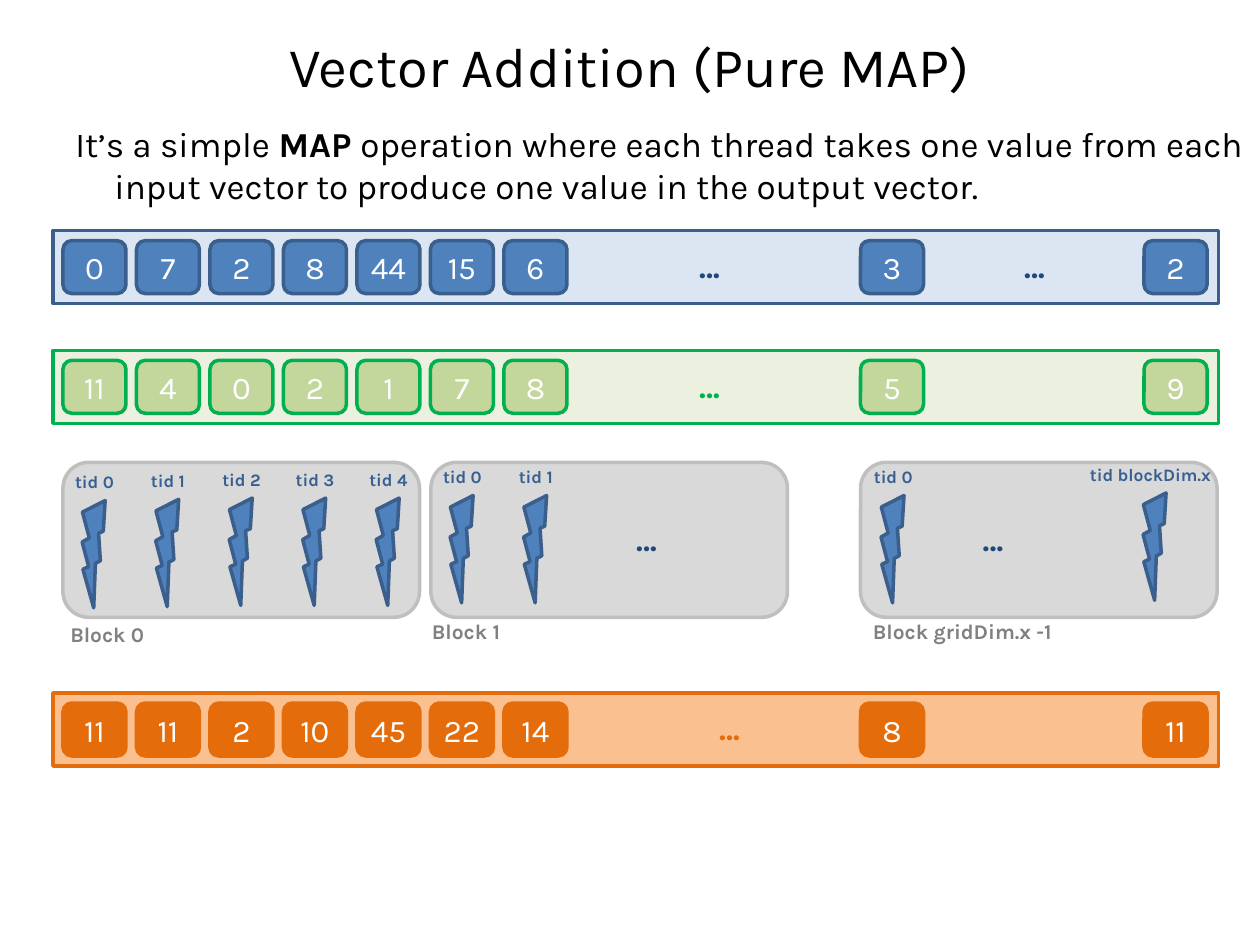
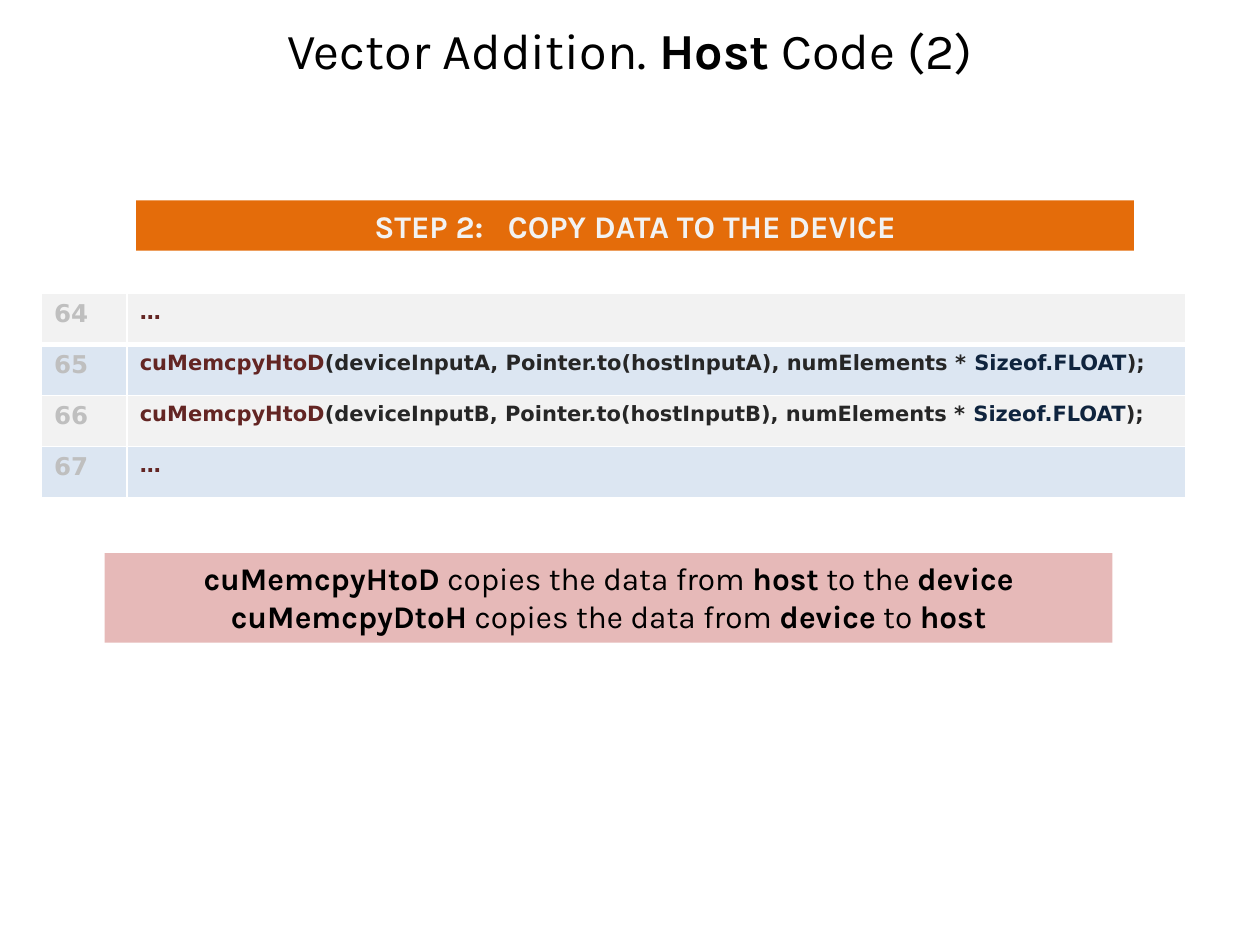
from dataclasses import dataclass

from lxml import etree
from pptx import Presentation
from pptx.dml.color import RGBColor
from pptx.enum import shapes, text
from pptx.oxml import ns
from pptx.util import Emu, Inches, Pt


@dataclass(frozen=True)
class Theme:
    font: str = "Karla"
    code_font: str = "DejaVu Sans"
    black: str = "000000"
    white: str = "FFFFFF"
    blue: str = "4F81BD"
    blue_edge: str = "3A5F8C"
    blue_pale: str = "DCE6F2"
    blue_label: str = "376092"
    navy: str = "1F497D"
    green: str = "C3D69B"
    green_edge: str = "00B050"
    green_pale: str = "EBF1DE"
    orange: str = "E46C0A"
    orange_pale: str = "FAC090"
    pink: str = "E6B9B8"
    gray_pale: str = "F2F2F2"
    gray_fill: str = "D9D9D9"
    gray_edge: str = "BFBFBF"
    gray_label: str = "808080"
    code_call: str = "632523"
    code_plain: str = "262626"
    code_const: str = "0F243E"
    title: float = 32
    title_small: float = 28.8
    body: float = 20
    value: float = 18
    line_number: float = 14
    small: float = 12
    thread: float = 10
    edge: float = 2


T = Theme()
BOLD = {"bold": True}

# Content: a paragraph is a list of runs, a run is text or (text, format)
MAP_TITLE = [["Vector Addition (Pure MAP)"]]
MAP_INTRO = [["It’s a simple ", ("MAP ", BOLD),
              "operation where each thread takes one value from each input "
              "vector to produce one value in the output vector."]]

PITCH = 7 / 12            # distance between neighbouring columns
FIRST_COLUMN = 0.5
FAR_COLUMNS = [6.83, 9.08]

# top, values, (fill, edge, band fill), ellipsis colour, ellipsis lefts
VECTORS = [
    (1.83, [0, 7, 2, 8, 44, 15, 6, 3, 2], (T.blue, T.blue_edge, T.blue_pale), T.navy, [4.92, 7.5]),
    (2.78, [11, 4, 0, 2, 1, 7, 8, 5, 9], (T.green, T.green_edge, T.green_pale), T.green_edge, [4.92]),
    (5.5, [11, 11, 2, 10, 45, 22, 14, 8, 11], (T.orange, T.orange, T.orange_pale), T.orange, [5.08]),
]

# left, label, label left, label top, ellipsis left
BLOCKS = [
    (0.5, "Block 0", 0.46, 4.88, None),
    (3.42, "Block 1", 3.33, 4.86, 4.42),
    (6.83, "Block gridDim.x -1", 6.83, 4.86, 7.17),
]

# label, label centre, bolt centre, top
THREADS = [(f"tid {tid}", centre, centre, top) for tid, centre, top in [
    *[(i, 0.75 + i * PITCH, top) for i, top in enumerate([3.69, 3.68, 3.67, 3.67, 3.67])],
    *[(i, 3.67 + i * PITCH, 3.65) for i in range(2)],
    (0, 7.09, 3.65),
]] + [("tid blockDim.x", 9.13, 9.17, 3.63)]

HOST_TITLE = [["Vector Addition. ", ("Host", BOLD), " Code (2)"]]
STEP = [["STEP 2:", (" ", {"spacing": 9.5}), "COPY DATA TO THE DEVICE"]]


def copy_call(vector):
    return ["cuMemcpyHtoD",
            (f"(device{vector}, Pointer.to(host{vector}), numElements * ", {"color": T.code_plain}),
            ("Sizeof.FLOAT", {"color": T.code_const}),
            (");", {"color": T.code_plain})]


CODE_START = 64
CODE = [["…"], copy_call("InputA"), copy_call("InputB"), ["…"]]
COPY_NOTE = [
    [(name, BOLD), " copies the data from ", (source, BOLD), " to ", article, (target, BOLD)]
    for name, source, article, target in [
        ("cuMemcpyHtoD", "host", "the ", "device"),
        ("cuMemcpyDtoH", "device", "", "host"),
    ]
]


def rgb(color):
    return RGBColor.from_string(color)


def write(frame, paragraphs, size=T.value, color=T.black, bold=False, font=T.font,
          align="CENTER", anchor=None, margin=None, indent=None):
    """Fill a text frame; run formats override the keyword arguments."""
    frame.word_wrap = True
    if anchor:
        frame.vertical_anchor = text.MSO_ANCHOR[anchor]
    if margin is not None:
        frame.margin_left = frame.margin_right = Inches(margin)
    for i, runs in enumerate(paragraphs):
        paragraph = frame.add_paragraph() if i else frame.paragraphs[0]
        paragraph.alignment = text.PP_ALIGN[align]
        if indent:
            props = paragraph._p.get_or_add_pPr()
            for key, length in zip(("marL", "indent"), indent):
                props.set(key, str(int(Inches(length))))
        for piece in runs:
            words, extra = (piece, {}) if isinstance(piece, str) else piece
            if not words:
                continue
            run = paragraph.add_run()
            run.text = words
            run.font.name, run.font.size = font, Pt(size)
            run.font.bold = extra.get("bold", bold)
            run.font.color.rgb = rgb(extra.get("color", color))
            if "spacing" in extra:
                run._r.get_or_add_rPr().set("spc", str(int(extra["spacing"] * 100)))


def label(slide, box, paragraphs, **style):
    write(slide.shapes.add_textbox(*map(Inches, box)).text_frame, paragraphs, **style)


def add_shape(slide, kind, box, fill, edge=None):
    shape = slide.shapes.add_shape(shapes.MSO_SHAPE[kind], *map(Inches, box))
    shape.shadow.inherit = False
    shape.fill.solid()
    shape.fill.fore_color.rgb = rgb(fill)
    if edge:
        shape.line.color.rgb = rgb(edge)
        shape.line.width = Pt(T.edge)
    else:
        shape.line.fill.background()
    return shape


def add_slide(deck, title, height, size):
    slide = deck.slides.add_slide(deck.slide_layouts[6])
    label(slide, (0.5, 0.17, 9, height), title, size=size, anchor="MIDDLE")
    return slide


def ellipsis(slide, left, top, color):
    label(slide, (left, top, 1.42, 0.42), [["…"]], color=color, bold=True)


def add_vector(slide, top, values, colors, dots_color, dots):
    fill, edge, band = colors
    add_shape(slide, "RECTANGLE", (0.42, top, 9.25, 0.58), band, edge)
    near = len(values) - len(FAR_COLUMNS)
    lefts = [FIRST_COLUMN + i * PITCH for i in range(near)] + FAR_COLUMNS
    for left, value in zip(lefts, values):
        cell = add_shape(slide, "ROUNDED_RECTANGLE", (left, top + 0.08, 0.5, 0.42), fill, edge)
        write(cell.text_frame, [[str(value)]], color=T.white, anchor="MIDDLE", margin=0)
    for left in dots:
        ellipsis(slide, left, top + 0.08, dots_color)


def add_thread(slide, name, label_centre, bolt_centre, top):
    label(slide, (label_centre - 0.63, top, 1.26, 0.27), [[name]],
          size=T.thread, color=T.blue_label, bold=True)
    bolt = add_shape(slide, "LIGHTNING_BOLT", (bolt_centre - 0.2, top + 0.27, 0.35, 0.83),
                     T.blue, T.blue_edge)
    bolt.rotation = 20.5


def set_borders(cell, top, bottom):
    props = cell._tc.get_or_add_tcPr()
    for i, (side, width) in enumerate(dict(lnL=1, lnR=1, lnT=top, lnB=bottom).items()):
        line = etree.Element(ns.qn(f"a:{side}"), w=str(int(Pt(width))))
        fill = etree.SubElement(line, ns.qn("a:solidFill"))
        etree.SubElement(fill, ns.qn("a:srgbClr"), val=T.white)
        props.insert(i, line)


def add_code(slide, box, widths):
    frame = slide.shapes.add_table(len(CODE), len(widths), *map(Inches, box))
    table = frame.table
    table.first_row = table.horz_banding = False
    for column, width in zip(table.columns, widths):
        column.width = Inches(width)
    for i, code in enumerate(CODE):
        table.rows[i].height = Emu(Inches(box[3]) // len(CODE))
        parts = [([str(CODE_START + i)], T.line_number, T.gray_edge),
                 (code, T.small, T.code_call)]
        for cell, (runs, size, color) in zip(table.rows[i].cells, parts):
            cell.fill.solid()
            cell.fill.fore_color.rgb = rgb(T.blue_pale if i % 2 else T.gray_pale)
            set_borders(cell, top=3 if i == 1 else 1, bottom=3 if i == 0 else 1)
            write(cell.text_frame, [runs], size=size, color=color, bold=True,
                  font=T.code_font, align="LEFT")


def build_map_slide(deck):
    slide = add_slide(deck, MAP_TITLE, 0.7, T.title)
    label(slide, (0, 0.92, 10, 0.92), MAP_INTRO, size=T.body, align="LEFT", indent=(0.81, -0.31))
    for vector in VECTORS:
        add_vector(slide, *vector)
    # Thread blocks
    for left, name, name_left, name_top, dots in BLOCKS:
        add_shape(slide, "ROUNDED_RECTANGLE", (left, 3.67, 2.83, 1.23), T.gray_fill, T.gray_edge)
        label(slide, (name_left, name_top, 1.83, 0.3), [[name]], size=T.small,
              color=T.gray_label, bold=True, align="LEFT")
        if dots:
            ellipsis(slide, dots, 4.08, T.navy)
    for thread in THREADS:
        add_thread(slide, *thread)


def build_host_slide(deck):
    slide = add_slide(deck, HOST_TITLE, 0.45, T.title_small)
    add_code(slide, (0.33, 2.33, 9.08, 1.62), [0.68, 8.4])
    # Step banner and note
    banner = add_shape(slide, "RECTANGLE", (1.08, 1.59, 7.92, 0.4), T.orange)
    write(banner.text_frame, STEP, color=T.gray_pale, bold=True, anchor="TOP")
    note = add_shape(slide, "RECTANGLE", (0.83, 4.39, 8, 0.71), T.pink)
    write(note.text_frame, COPY_NOTE, anchor="TOP")


def main():
    deck = Presentation()
    deck.slide_width, deck.slide_height = Inches(10), Inches(7.5)
    build_map_slide(deck)
    build_host_slide(deck)
    deck.save("out.pptx")


if __name__ == "__main__":
    main()
